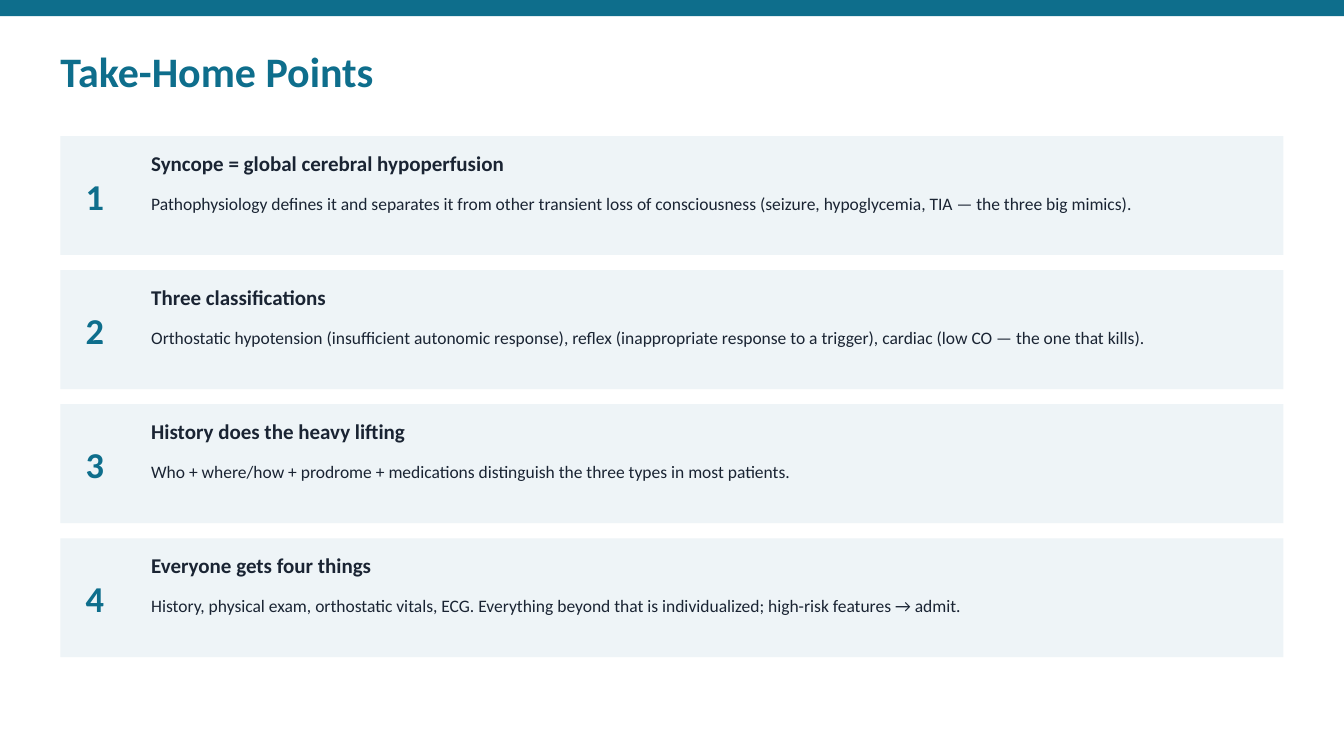
import pptx
import pptx.dml.color
import pptx.enum.shapes
import pptx.enum.text
import pptx.util
from dataclasses import dataclass

EMU_PER_PX = 9144  # 100 px to the inch
ANCHOR = pptx.enum.text.MSO_ANCHOR


@dataclass(frozen=True)
class Theme:
    font: str = "Calibri"
    teal: str = "0E6E8C"
    panel: str = "EEF4F7"
    ink: str = "1A2433"
    title: float = 30
    number: float = 26
    heading: float = 15
    body: float = 12.5
    space_after: float = 6


def px(*lengths):
    return [pptx.util.Emu(n * EMU_PER_PX) for n in lengths]


def rgb(color):
    return pptx.dml.color.RGBColor.from_string(color)


def write(tf, text, *, font, size, color, bold=False, space_after=0):
    p = tf.paragraphs[0]
    p.space_after = pptx.util.Pt(space_after)
    r = p.add_run()
    r.text = text
    r.font.name = font
    r.font.size = pptx.util.Pt(size)
    r.font.bold = bold
    r.font.color.rgb = rgb(color)


class Deck:
    def __init__(self, theme, width, height):
        self.theme = theme
        self.prs = pptx.Presentation()
        self.prs.slide_width, self.prs.slide_height = px(width, height)
        self.s = self.prs.slides.add_slide(self.prs.slide_layouts[6])

    def bar(self, x, y, w, h, color):
        sp = self.s.shapes.add_shape(
            pptx.enum.shapes.MSO_SHAPE.RECTANGLE, *px(x, y, w, h))
        sp.shadow.inherit = False
        sp.fill.solid()
        sp.fill.fore_color.rgb = rgb(color)
        sp.line.fill.background()

    def text(self, x, y, w, h, text, anchor=ANCHOR.TOP, **style):
        tf = self.s.shapes.add_textbox(*px(x, y, w, h)).text_frame
        tf.word_wrap = True
        tf.auto_size = pptx.enum.text.MSO_AUTO_SIZE.SHAPE_TO_FIT_TEXT
        tf.vertical_anchor = anchor
        tf.margin_left = tf.margin_top = tf.margin_right = tf.margin_bottom = 0
        write(tf, text, font=self.theme.font,
              space_after=self.theme.space_after, **style)

    def point(self, y, number, heading, body):
        """Draw one numbered panel with its top edge at y."""
        t = self.theme
        self.bar(60, y, 1213, 118, t.panel)
        self.text(85, y + 12, 50, 95, str(number), ANCHOR.MIDDLE,
                  size=t.number, color=t.teal, bold=True)
        self.text(150, y + 14, 1093, 40, heading,
                  size=t.heading, color=t.ink, bold=True)
        self.text(150, y + 56, 1093, 55, body, size=t.body, color=t.ink)


POINTS = [
    ("Syncope = global cerebral hypoperfusion",
     "Pathophysiology defines it and separates it from other transient loss of "
     "consciousness (seizure, hypoglycemia, TIA — the three big mimics)."),
    ("Three classifications",
     "Orthostatic hypotension (insufficient autonomic response), reflex "
     "(inappropriate response to a trigger), cardiac (low CO — the one that kills)."),
    ("History does the heavy lifting",
     "Who + where/how + prodrome + medications distinguish the three types in "
     "most patients."),
    ("Everyone gets four things",
     "History, physical exam, orthostatic vitals, ECG. Everything beyond that is "
     "individualized; high-risk features → admit."),
]
FIRST_TOP, PITCH = 135, 133


def main():
    theme = Theme()
    deck = Deck(theme, 1333, 750)
    deck.bar(0, 0, 1333, 16, theme.teal)
    deck.text(60, 45, 1213, 70, "Take-Home Points",
              size=theme.title, color=theme.teal, bold=True)
    for i, (heading, body) in enumerate(POINTS):
        deck.point(FIRST_TOP + i * PITCH, i + 1, heading, body)
    deck.prs.save("out.pptx")


if __name__ == "__main__":
    main()
